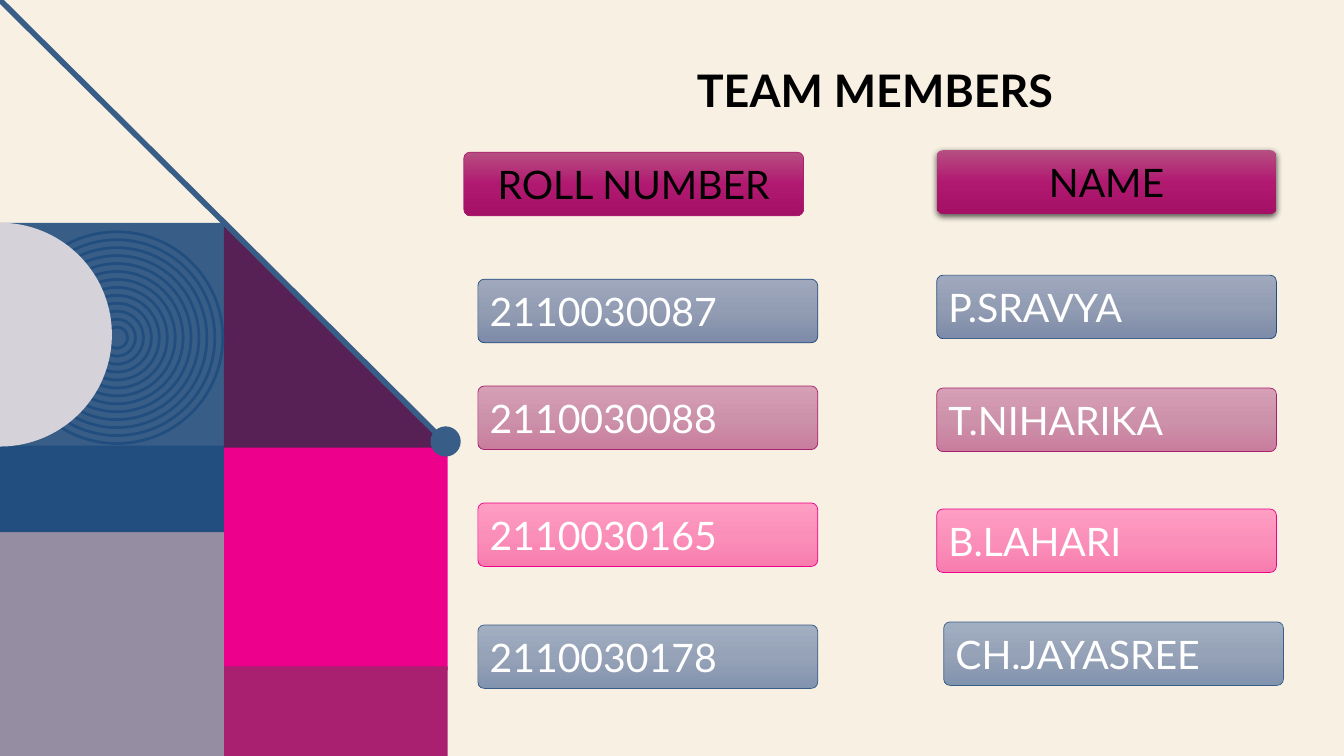
"""Build the team members slide."""
import copy
import math

import lxml.etree
import pptx
import pptx.dml.color
import pptx.enum.shapes
import pptx.enum.text
import pptx.oxml.ns
import pptx.util

Inches = pptx.util.Inches
Pt = pptx.util.Pt
SHAPE = pptx.enum.shapes.MSO_SHAPE
ALIGN = pptx.enum.text.PP_ALIGN
qn = pptx.oxml.ns.qn

MAGENTA = (("B64F81", "B11971", "A31065"), "AA2070")
NAVY = (("9FA8BD", "929CB2", "7E8BA9"), "224E7F")
ROSE = (("D79FB5", "CC92AA", "C97D9D"), "AA2070")
PINK = (("FF9DC3", "FA90B9", "F97CAF"), "EC008C")
STEEL = (("A2AEC2", "96A2B7", "8293AE"), "385E88")

HEADERS = [("ROLL NUMBER", 4.6, 1.51), ("NAME", 9.29, 1.49)]
MEMBERS = [
    (NAVY, ("2110030087", 4.74, 2.77), ("P.SRAVYA", 9.29, 2.73)),
    (ROSE, ("2110030088", 4.74, 3.83), ("T.NIHARIKA", 9.29, 3.85)),
    (PINK, ("2110030165", 4.74, 4.99), ("B.LAHARI", 9.29, 5.05)),
    (STEEL, ("2110030178", 4.74, 6.2), ("CH.JAYASREE", 9.36, 6.17)),
]
CARD_W, CARD_H = 3.37, 0.63

TILE = 2.22
TILES = [
    (0, 2.21, TILE, "385E88"),
    (TILE, 4.43, TILE, "EC008C"),
    (TILE, 6.61, 0.89, "AA2070"),
    (0, 5.28, TILE, "958EA2"),
    (0, 4.42, 0.86, "224E7F"),
]
TRIANGLE = [(TILE, TILE), (2 * TILE, 2 * TILE), (TILE, 2 * TILE)]
HALF_DISC = [(1.11 * math.cos(math.radians(a)), 3.32 + 1.11 * math.sin(math.radians(a)))
             for a in range(-90, 91, 2)]
RING_X, RING_Y, RING_MAX, RING_MIN, RINGS = 1.16, 3.35, 2.1, 0.21, 13


def rgb(color):
    return pptx.dml.color.RGBColor.from_string(color)


def paint(sp, fill=None, line=None, width=0.5):
    sp.shadow.inherit = False
    if fill:
        sp.fill.solid()
        sp.fill.fore_color.rgb = rgb(fill)
    else:
        sp.fill.background()
    if line:
        sp.line.color.rgb = rgb(line)
        sp.line.width = Pt(width)
    else:
        sp.line.fill.background()
    return sp


def add_shape(s, kind, x, y, w, h, **style):
    sp = s.shapes.add_shape(kind, Inches(x), Inches(y), Inches(w), Inches(h))
    return paint(sp, **style)


def add_outline(s, points, fill):
    corners = [(Inches(x), Inches(y)) for x, y in points]
    builder = s.shapes.build_freeform(*corners[0])
    builder.add_line_segments(corners[1:], close=True)
    paint(builder.convert_to_shape(), fill)


def write(sp, text, size=28, color="FFFFFF", bold=False, align=ALIGN.LEFT):
    tf = sp.text_frame
    tf.word_wrap = True
    tf.vertical_anchor = pptx.enum.text.MSO_ANCHOR.MIDDLE
    p = tf.paragraphs[0]
    p.alignment = align
    r = p.add_run()
    r.text = text
    r.font.name = "Lato"
    r.font.size = Pt(size)
    r.font.bold = bold
    r.font.color.rgb = rgb(color)


def shade(sp, colors):
    sp.fill.gradient()
    sp.fill.gradient_angle = 270
    stops = sp._element.spPr.find(qn("a:gradFill")).find(qn("a:gsLst"))
    stops.insert(1, copy.deepcopy(stops[0]))
    for i, (stop, color) in enumerate(zip(sp.fill.gradient_stops, colors)):
        stop.position = i / 2
        stop.color.rgb = rgb(color)


def add_card(s, label, x, y, theme, outlined=True, **text_format):
    colors, line = theme
    sp = add_shape(s, SHAPE.ROUNDED_RECTANGLE, x, y, CARD_W, CARD_H,
                   line=line if outlined else None)
    sp.adjustments[0] = 0.1
    shade(sp, colors)
    write(sp, label, **text_format)
    return sp


def add_shadow(sp):
    effects = sp._element.spPr.find(qn("a:effectLst"))
    shadow = lxml.etree.SubElement(effects, qn("a:outerShdw"), blurRad=str(Pt(4.5)),
                                   dist=str(Pt(1.5)), dir="5400000", rotWithShape="0")
    color = lxml.etree.SubElement(shadow, qn("a:srgbClr"), val="000000")
    lxml.etree.SubElement(color, qn("a:alpha"), val="63000")


def add_artwork(s):
    for x, y, h, fill in TILES:
        add_shape(s, SHAPE.RECTANGLE, x, y, TILE, h, fill=fill)
    add_outline(s, TRIANGLE, "582156")
    step = (RING_MAX - RING_MIN) / (RINGS - 1)
    for i in range(RINGS):
        d = RING_MAX - i * step
        add_shape(s, SHAPE.OVAL, RING_X - d / 2, RING_Y - d / 2, d, d,
                  line="224E7F", width=2)
    add_outline(s, HALF_DISC, "D5D2DA")
    diagonal = s.shapes.add_connector(pptx.enum.shapes.MSO_CONNECTOR.STRAIGHT,
                                      0, 0, Inches(4.44), Inches(4.41))
    diagonal.line.color.rgb = rgb("385E88")
    diagonal.line.width = Pt(4)
    lxml.etree.SubElement(diagonal._element.spPr, qn("a:effectLst"))
    add_shape(s, SHAPE.OVAL, 4.27, 4.23, 0.3, 0.3, fill="385E88")


def main():
    prs = pptx.Presentation()
    prs.slide_width, prs.slide_height = Inches(13.33), Inches(7.5)
    s = prs.slides.add_slide(prs.slide_layouts[5])
    s.background.fill.solid()
    s.background.fill.fore_color.rgb = rgb("F8F0E3")
    add_artwork(s)

    title = s.shapes.title
    title.left, title.top = Inches(5.68), Inches(0.54)
    title.width, title.height = Inches(6), Inches(0.7)
    write(title, "TEAM MEMBERS", size=32, color="000000", bold=True, align=ALIGN.CENTER)

    roll, name = HEADERS
    header_format = {"color": "000000", "align": ALIGN.CENTER}
    add_card(s, *roll, MAGENTA, **header_format)
    add_shadow(add_card(s, *name, MAGENTA, outlined=False, **header_format))
    for theme, *cards in MEMBERS:
        for card in cards:
            add_card(s, *card, theme)
    prs.save("out.pptx")


if __name__ == "__main__":
    main()
